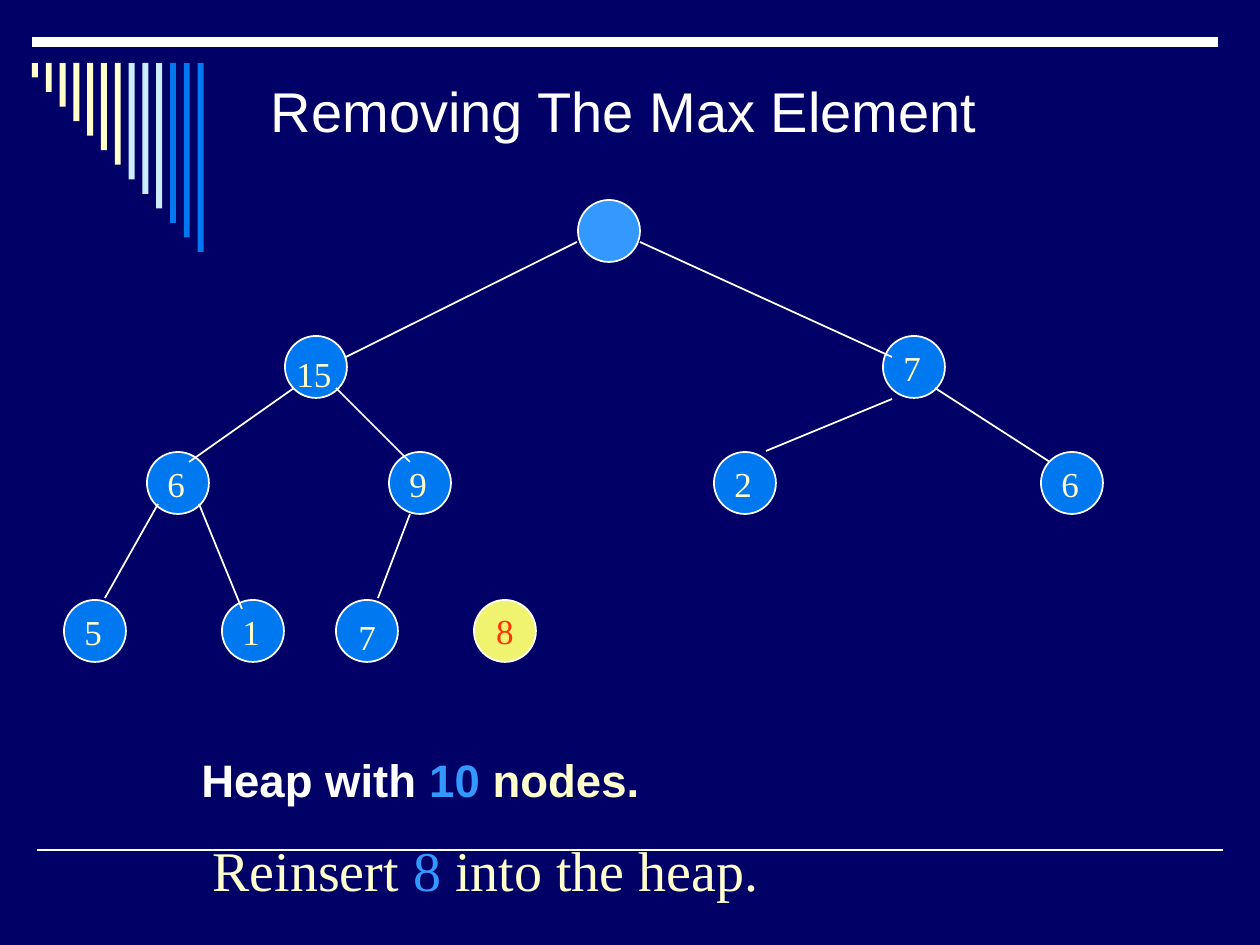
from dataclasses import dataclass

from pptx import Presentation
from pptx.dml.color import RGBColor
from pptx.enum.shapes import MSO_CONNECTOR, MSO_SHAPE
from pptx.enum.text import MSO_ANCHOR, PP_ALIGN
from pptx.oxml.ns import qn
from pptx.util import Inches, Pt

PX_PER_INCH = 126
STRAIGHT = MSO_CONNECTOR.STRAIGHT
OVAL, RECTANGLE = MSO_SHAPE.OVAL, MSO_SHAPE.RECTANGLE
MIDDLE, CENTER, LEFT = MSO_ANCHOR.MIDDLE, PP_ALIGN.CENTER, PP_ALIGN.LEFT
SANS, SERIF = "Arial", "Times New Roman"
COLORS = {
    "navy": "000066",
    "white": "FFFFFF",
    "cream": "FFFFCC",
    "pale": "CCECFF",
    "blue": "0078F0",
    "sky": "3399FF",
    "yellow": "F0F36F",
    "red": "FF3300",
}
NODE_SIZE = 62


@dataclass(frozen=True)
class Node:
    x: int
    y: int
    label: str = ""
    fill: str = "blue"
    label_dx: int = 8
    label_dy: int = 4
    label_width: int = 43


@dataclass(frozen=True)
class Line:
    x1: int
    y1: int
    x2: int
    y2: int
    weight: int = 1


@dataclass(frozen=True)
class Span:
    text: str
    color: str


HEAP_NODES = [
    Node(578, 200, fill="sky"),
    Node(285, 336, "15", label_dx=-1, label_dy=10, label_width=60),
    Node(883, 336, "7"),
    Node(147, 452, "6"),
    Node(389, 452, "9"),
    Node(714, 452, "2"),
    Node(1041, 452, "6"),
    Node(64, 600, "5"),
    Node(222, 600, "1"),
    Node(336, 600, "7", label_dx=10, label_dy=9),
]
REMOVED_NODE = Node(474, 600, "8", fill="yellow")
EDGES = [
    Line(577, 242, 346, 357),
    Line(640, 242, 892, 357),
    Line(294, 388, 189, 462),
    Line(336, 388, 410, 462),
    Line(892, 399, 766, 451),
    Line(935, 388, 1050, 462),
    Line(158, 504, 105, 598),
    Line(199, 504, 242, 609),
    Line(410, 514, 378, 598),
]
RULES = [Line(37, 850, 1223, 850), Line(32, 42, 1218, 42, weight=6)]
BAR_COLORS = ["cream"] * 7 + ["pale"] * 3 + ["blue"] * 3


def px(length: float) -> int:
    return round(length * Inches(1) / PX_PER_INCH)


def rgb(name: str) -> RGBColor:
    return RGBColor.from_string(COLORS[name])


def draw_line(slide, line: Line) -> None:
    ends = (px(v) for v in (line.x1, line.y1, line.x2, line.y2))
    connector = slide.shapes.add_connector(STRAIGHT, *ends)
    connector.line.color.rgb = rgb("white")
    connector.line.width = Pt(line.weight)
    properties = connector._element.spPr
    properties.append(properties.makeelement(qn("a:effectLst"), {}))


def draw_bars(slide) -> None:
    """Draw the hanging bars, each one step longer than the one before."""
    left, top, width, pitch, step = 32, 63, 6, 13.8, 14.54
    for index, color in enumerate(BAR_COLORS):
        bar = slide.shapes.add_shape(
            RECTANGLE, px(left + index * pitch), px(top), px(width), px(step * (index + 1))
        )
        bar.shadow.inherit = False
        bar.fill.solid()
        bar.fill.fore_color.rgb = rgb(color)
        bar.line.fill.background()


def draw_circle(slide, node: Node):
    circle = slide.shapes.add_shape(
        OVAL, px(node.x), px(node.y), px(NODE_SIZE), px(NODE_SIZE)
    )
    circle.shadow.inherit = False
    circle.fill.solid()
    circle.fill.fore_color.rgb = rgb(node.fill)
    circle.line.color.rgb = rgb("white")
    circle.line.width = Pt(1)
    return circle


def write(frame, spans: list[Span], font: str, size: int, align=LEFT, bold=False) -> None:
    paragraph = frame.paragraphs[0]
    paragraph.alignment = align
    paragraph.font.name = font
    paragraph.font.size = Pt(size)
    paragraph.font.bold = bold
    for span in spans:
        run = paragraph.add_run()
        run.text = span.text
        run.font.color.rgb = rgb(span.color)


def add_text_frame(slide, x: int, y: int, width: int, height: int, wrap=True):
    box = slide.shapes.add_textbox(px(x), px(y), px(width), px(height))
    box.text_frame.word_wrap = wrap
    return box.text_frame


def draw_label(slide, node: Node) -> None:
    frame = add_text_frame(
        slide, node.x + node.label_dx, node.y + node.label_dy, node.label_width, 54, wrap=False
    )
    write(frame, [Span(node.label, "cream")], SERIF, 20)


def draw_heap(slide) -> None:
    for node in HEAP_NODES:
        draw_circle(slide, node)
    for edge in EDGES:
        draw_line(slide, edge)
    for node in HEAP_NODES:
        if node.label:
            draw_label(slide, node)

    removed = draw_circle(slide, REMOVED_NODE).text_frame
    removed.word_wrap = False
    removed.vertical_anchor = MIDDLE
    write(removed, [Span(REMOVED_NODE.label, "red")], SERIF, 20, CENTER)


def main() -> None:
    presentation = Presentation()
    presentation.slide_width = Inches(10)
    presentation.slide_height = Inches(7.5)
    slide = presentation.slides.add_slide(presentation.slide_layouts[6])
    slide.background.fill.solid()
    slide.background.fill.fore_color.rgb = rgb("navy")

    for rule in RULES:
        draw_line(slide, rule)
    draw_bars(slide)

    title = add_text_frame(slide, 10, 32, 1228, 157)
    title.vertical_anchor = MIDDLE
    write(title, [Span("Removing The Max Element", "white")], SANS, 32, CENTER)

    node_count = add_text_frame(slide, 189, 746, 882, 63)
    count_spans = [Span("Heap with ", "white"), Span("10 ", "sky"), Span("nodes.", "cream")]
    write(node_count, count_spans, SANS, 26, bold=True)

    draw_heap(slide)

    next_step = add_text_frame(slide, 200, 829, 882, 80)
    step_spans = [Span("Reinsert ", "cream"), Span("8 ", "sky"), Span("into the heap.", "cream")]
    write(next_step, step_spans, SERIF, 32)

    presentation.save("out.pptx")


if __name__ == "__main__":
    main()
